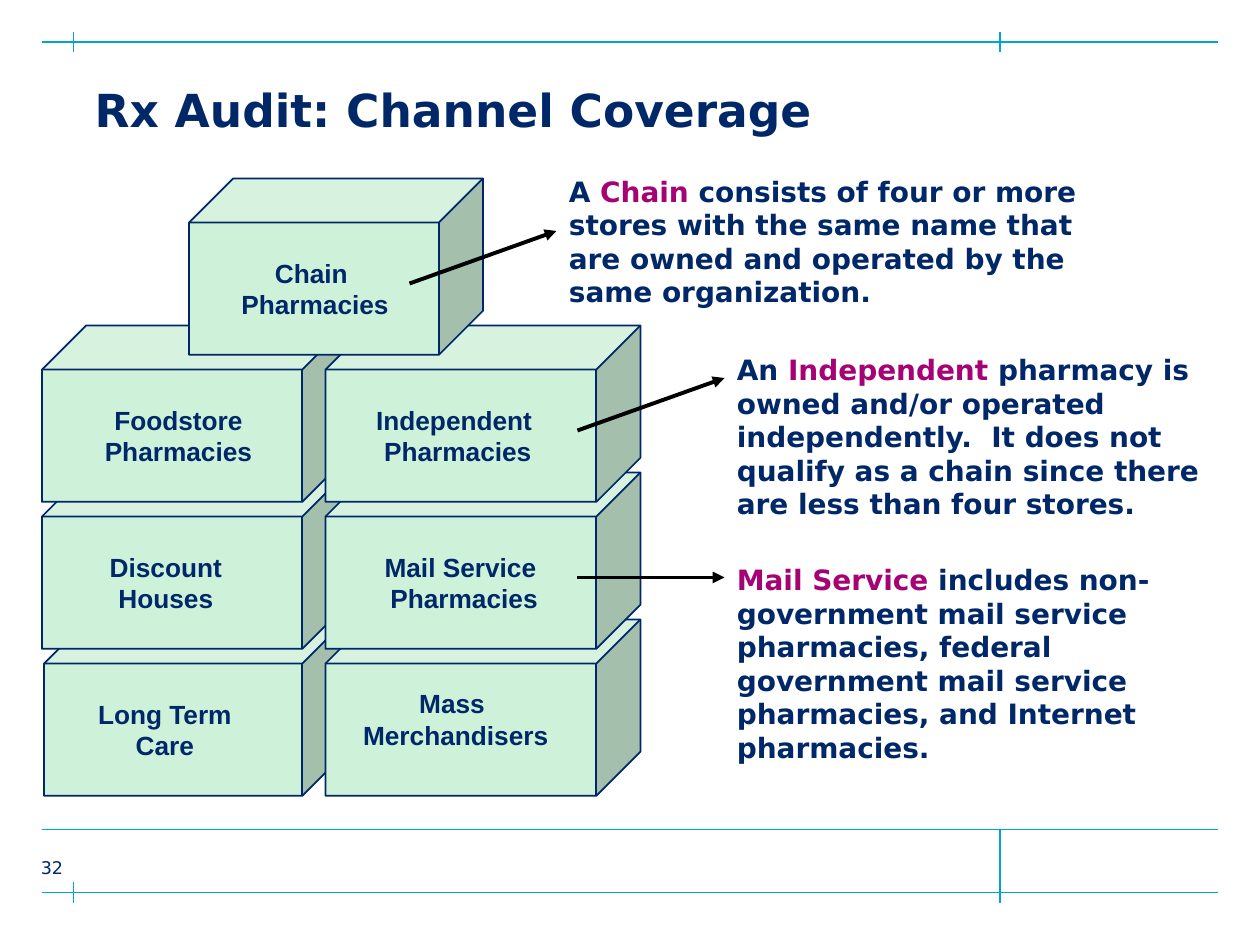
import pptx
import pptx.util
import pptx.dml.color
import pptx.enum.shapes
import pptx.enum.text
from lxml import etree

UNIT = 1 / 12  # grid: 120 columns by 90 rows
NAVY, PLUM, CYAN, MINT, BLACK = "002868", "A50373", "00A5D1", "CEF1D9", "000000"
SANS, LABEL = "DejaVu Sans", "Arial"
ALIGN = pptx.enum.text.PP_ALIGN
A_NS = "{http://schemas.openxmlformats.org/drawingml/2006/main}"


def grid(*units):
    return [pptx.util.Inches(u * UNIT) for u in units]


def color(value):
    return pptx.dml.color.RGBColor.from_string(value)


def add_run(p, text, size=16, font=SANS, fill=NAVY, bold=True):
    r = p.add_run()
    r.text = text
    r.font.size = pptx.util.Pt(size)
    r.font.name = font
    r.font.bold = bold
    r.font.color.rgb = color(fill)


def frame(sp, inset=(0.1, 0.05)):
    tf = sp.text_frame
    tf.word_wrap = True
    tf.auto_size = pptx.enum.text.MSO_AUTO_SIZE.NONE
    tf.vertical_anchor = pptx.enum.text.MSO_ANCHOR.TOP
    tf.margin_left = tf.margin_right = pptx.util.Inches(inset[0])
    tf.margin_top = tf.margin_bottom = pptx.util.Inches(inset[1])
    return tf


def add_text(s, box, paragraphs, align=ALIGN.LEFT, inset=(0.1, 0.05), **style):
    """Each paragraph is a list of (text, colour) runs."""
    tf = frame(s.shapes.add_textbox(*grid(*box)), inset)
    for i, runs in enumerate(paragraphs):
        p = tf.paragraphs[0] if i == 0 else tf.add_paragraph()
        p.alignment = align
        for text, fill in runs:
            add_run(p, text, fill=fill, **style)


def add_line(s, ends, fill, width, arrow=False):
    straight = pptx.enum.shapes.MSO_CONNECTOR.STRAIGHT
    cx = s.shapes.add_connector(straight, *grid(*ends))
    cx.line.color.rgb = color(fill)
    cx.line.width = pptx.util.Pt(width)
    properties = cx.element.spPr
    if arrow:
        etree.SubElement(properties.find(A_NS + "ln"), A_NS + "tailEnd", type="triangle")
    etree.SubElement(properties, A_NS + "effectLst")


def add_frame_lines(s, left, right):
    for y in (4, 85, 79):
        add_line(s, (left, y, right, y), CYAN, 0.75)
    for x, top, bottom in ((7, 3, 5), (7, 84, 86), (95.25, 79, 86), (95.25, 3, 5)):
        add_line(s, (x, top, x, bottom), CYAN, 0.75)


def add_title(s, box, text):
    sp = s.shapes.title
    sp.left, sp.top, sp.width, sp.height = grid(*box)
    p = frame(sp, (0, 0)).paragraphs[0]
    p.alignment = ALIGN.LEFT
    p.line_spacing = pptx.util.Pt(30)
    add_run(p, text, size=26)


def add_block(s, box, label_box, lines):
    """A cube with its label, placed from the cube's top left corner."""
    x, y, _, _ = box
    dx, dy, width = label_box
    sp = s.shapes.add_shape(pptx.enum.shapes.MSO_SHAPE.CUBE, *grid(*box))
    sp.shadow.inherit = False
    sp.fill.solid()
    sp.fill.fore_color.rgb = color(MINT)
    sp.line.color.rgb = color(NAVY)
    sp.line.width = pptx.util.Pt(1)
    add_text(s, (x + dx, y + dy, width, 7), [[(line, NAVY)] for line in lines],
             align=ALIGN.CENTER, inset=(0.08, 0.04), size=15, font=LABEL)


def add_pyramid(s, top, pitch, height):
    # Back to front: row, left, width, label (dx, dy, width), lines
    blocks = [
        (3, 4.2, 28.8, (-0.2, 7, 23.4), ("Long Term", "Care")),
        (3, 31, 30, (0, 6, 24.8), ("Mass ", "Merchandisers")),
        (2, 4, 29, (1, 7, 21.6), ("Discount", "Houses")),
        (1, 4, 29, (1, 7, 24), ("Foodstore", "Pharmacies")),
        (2, 31, 30, (1, 7, 24.4), ("Mail Service ", "Pharmacies")),
        (1, 31, 30, (1, 7, 23.2), ("Independent ", "Pharmacies")),
        (0, 18, 28, (1, 7, 22), ("Chain ", "Pharmacies")),
    ]
    for row, left, width, label_box, lines in blocks:
        add_block(s, (left, top + row * pitch, width, height), label_box, lines)


def add_note(s, box, runs, arrow_rows):
    """A definition and the arrow that reaches its left edge."""
    add_text(s, box, [runs])
    start, end = arrow_rows
    add_line(s, (box[0] - 14, start, box[0], end), BLACK, 2.25, arrow=True)


def main():
    prs = pptx.Presentation()
    prs.slide_width, prs.slide_height = grid(120, 90)
    s = prs.slides.add_slide(prs.slide_layouts[5])

    # Page furniture
    add_frame_lines(s, 4, 116)
    add_text(s, (1, 81.6, 5, 4), [[("32", NAVY)]], align=ALIGN.RIGHT,
             inset=(0, 0), size=10, bold=False)
    add_title(s, (9, 8, 104, 11), "Rx Audit: Channel Coverage")

    # Stacked channels
    add_pyramid(s, top=17, pitch=14, height=16.8)

    # Definitions
    add_note(s, (53, 16, 52, 14), [
        ("A ", NAVY), ("Chain", PLUM),
        (" consists of four or more stores with the same name that are owned "
         "and operated by the same organization.", NAVY)], (27, 22))
    add_note(s, (69, 33, 47.4, 17.3), [
        ("An ", NAVY), ("Independent ", PLUM),
        ("pharmacy is owned and/or operated independently.  It does not qualify "
         "as a chain since there are less than four stores.", NAVY)], (41, 36))
    add_note(s, (69, 53, 44.8, 20.4), [
        ("Mail Service", PLUM),
        (" includes non-government mail service pharmacies, federal government "
         "mail service pharmacies, and Internet pharmacies.", NAVY)], (55, 55))

    prs.save("out.pptx")


if __name__ == "__main__":
    main()
